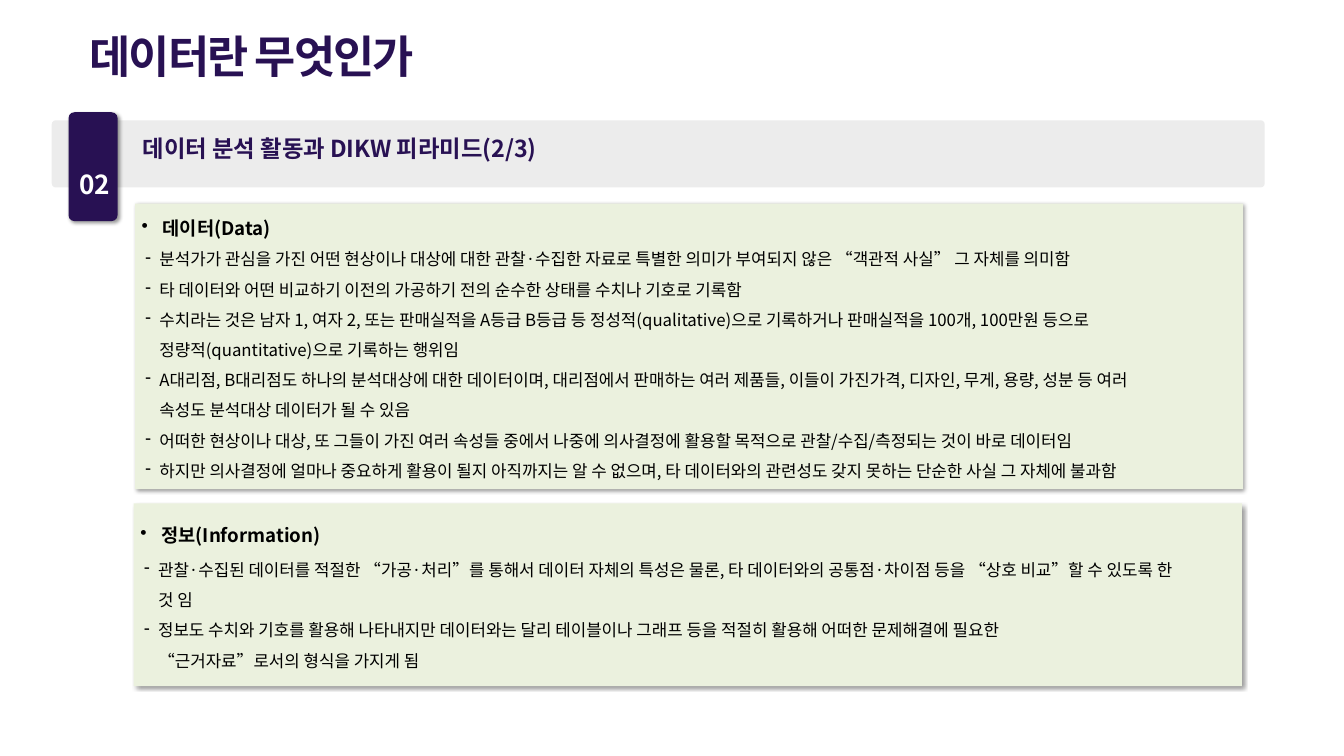
"""Build the slide on data and information in the DIKW pyramid."""
from pptx import Presentation
from pptx.dml.color import RGBColor as Rgb
from pptx.enum.shapes import MSO_SHAPE as Shape
from pptx.enum.text import MSO_ANCHOR as Anchor, PP_ALIGN as Align
from pptx.oxml import parse_xml
from pptx.oxml.ns import nsdecls
from pptx.util import Pt

TITLE = "데이터란 무엇인가"
HEAD = "데이터 분석 활동과 DIKW 피라미드(2/3)"
NUM = "02"
PANELS = [
    {"name": "데이터(Data)", "box": (144.72, 218.16, 1187.28, 306), "gap": 0, "items": [
        "분석가가 관심을 가진 어떤 현상이나 대상에 대한 관찰·수집한 자료로 특별한 의미가 부여되지 않은 “객관적 사실” 그 자체를 의미함",
        "타 데이터와 어떤 비교하기 이전의 가공하기 전의 순수한 상태를 수치나 기호로 기록함",
        "수치라는 것은 남자 1, 여자 2, 또는 판매실적을 A등급 B등급 등 정성적(qualitative)으로 기록하거나 판매실적을 100개, 100만원 등으로\v"
        "정량적(quantitative)으로 기록하는 행위임",
        "A대리점, B대리점도 하나의 분석대상에 대한 데이터이며, 대리점에서 판매하는 여러 제품들, 이들이 가진가격, 디자인, 무게, 용량, 성분 등 여러\v"
        "속성도 분석대상 데이터가 될 수 있음",
        "어떠한 현상이나 대상, 또 그들이 가진 여러 속성들 중에서 나중에 의사결정에 활용할 목적으로 관찰/수집/측정되는 것이 바로 데이터임",
        "하지만 의사결정에 얼마나 중요하게 활용이 될지 아직까지는 알 수 없으며, 타 데이터와의 관련성도 갖지 못하는 단순한 사실 그 자체에 불과함",
    ]},
    {"name": "정보(Information)", "box": (143.28, 539.28, 1187.28, 195.84), "gap": 4, "items": [
        "관찰·수집된 데이터를 적절한 “가공·처리”를 통해서 데이터 자체의 특성은 물론, 타 데이터와의 공통점·차이점 등을 “상호 비교”할 수 있도록 한\v"
        "것 임",
        "정보도 수치와 기호를 활용해 나타내지만 데이터와는 달리 테이블이나 그래프 등을 적절히 활용해 어떠한 문제해결에 필요한\v"
        "“근거자료”로서의 형식을 가지게 됨",
    ]},
]
THEME = {
    "font": "Noto Sans CJK KR",
    "navy": "281153", "grey": "ECECEC", "green": "EBF1DE", "white": "FFFFFF", "black": "000000",
    "title": 48, "num": 28, "head": 25, "name": 20, "item": 18,
}


def style(para, size, color, bold=True, **form):
    """Format one paragraph and all its runs."""
    for key, val in form.items():
        setattr(para, key, val)
    for run in para.runs:
        for key, val in {"name": THEME["font"], "size": Pt(THEME[size]), "bold": bold}.items():
            setattr(run.font, key, val)
        run.font.color.rgb = Rgb.from_string(THEME[color])
        run.font._element.append(parse_xml(
            f'<a:ea {nsdecls("a")} typeface="{THEME["font"]}"/>'))


def bullet(para, mark, left, hang):
    """Give a paragraph a hanging bullet."""
    props = para._p.get_or_add_pPr()
    props.set("marL", str(Pt(left)))
    props.set("indent", str(Pt(-hang)))
    props.append(parse_xml(f'<a:buChar {nsdecls("a")} char="{mark}"/>'))


def block(shapes, box, color, adj, shade=True):
    """Add a filled round rectangle, with a soft shadow if wanted."""
    shape = shapes.add_shape(Shape.ROUNDED_RECTANGLE, *map(Pt, box))
    shape.adjustments[0] = adj
    shape.fill.solid()
    shape.fill.fore_color.rgb = Rgb.from_string(THEME[color])
    shape.line.fill.background()
    shape.shadow.inherit = False
    if shade:
        shape._element.spPr.find("{*}effectLst").append(parse_xml(
            f'<a:outerShdw {nsdecls("a")} blurRad="{Pt(4)}" dist="{Pt(3)}" dir="2700000">'
            f'<a:srgbClr val="{THEME["black"]}"><a:alpha val="40000"/></a:srgbClr></a:outerShdw>'))
    return shape


def label(shapes, box, text, size, color, **form):
    """Add a one-paragraph text box."""
    frame = shapes.add_textbox(*map(Pt, box)).text_frame
    frame.word_wrap = True
    frame.text = text
    style(frame.paragraphs[0], size, color, **form)


def panel(shapes, data):
    """Add a green panel with its name and dashed items."""
    frame = block(shapes, data["box"], "green", 0).text_frame
    frame.word_wrap, frame.vertical_anchor = True, Anchor.MIDDLE
    para = frame.paragraphs[0]
    para.text = data["name"]
    bullet(para, "•", 22.5, 22.5)
    style(para, "name", "black", alignment=Align.LEFT, line_spacing=1.2)
    for i, text in enumerate(data["items"]):
        para = frame.add_paragraph()
        para.text = text
        bullet(para, "-", 19, 15)
        style(para, "item", "black", False, alignment=Align.LEFT, line_spacing=1.5,
              space_before=Pt(0 if i else data["gap"]))


def main():
    """Build and save the slide."""
    deck = Presentation()
    deck.slide_width, deck.slide_height = Pt(1440), Pt(810)
    slide = deck.slides.add_slide(deck.slide_layouts[5])
    title = slide.shapes.title
    for key, val in zip(("left", "top", "width", "height"), (88.56, 27.36, 847.44, 65.52)):
        setattr(title, key, Pt(val))
    title.text_frame.text = TITLE
    title.text_frame.vertical_anchor = Anchor.MIDDLE
    para = title.text_frame.paragraphs[0]
    style(para, "title", "navy", alignment=Align.LEFT)
    para.runs[0].font._element.set("spc", "-200")

    band = slide.shapes.add_group_shape().shapes
    block(band, (55.44, 128.88, 1299.6, 72), "grey", 0.06, False)
    block(band, (73.44, 120.24, 52.56, 116.64), "navy", 0.12)
    label(band, (76.32, 177.12, 50.4, 41.04), NUM, "num", "white", alignment=Align.CENTER)
    label(band, (146.16, 134.64, 1185.84, 139.68), HEAD, "head", "navy", line_spacing=1.2)
    for data in PANELS:
        panel(slide.shapes, data)
    deck.save("out.pptx")


if __name__ == "__main__":
    main()
